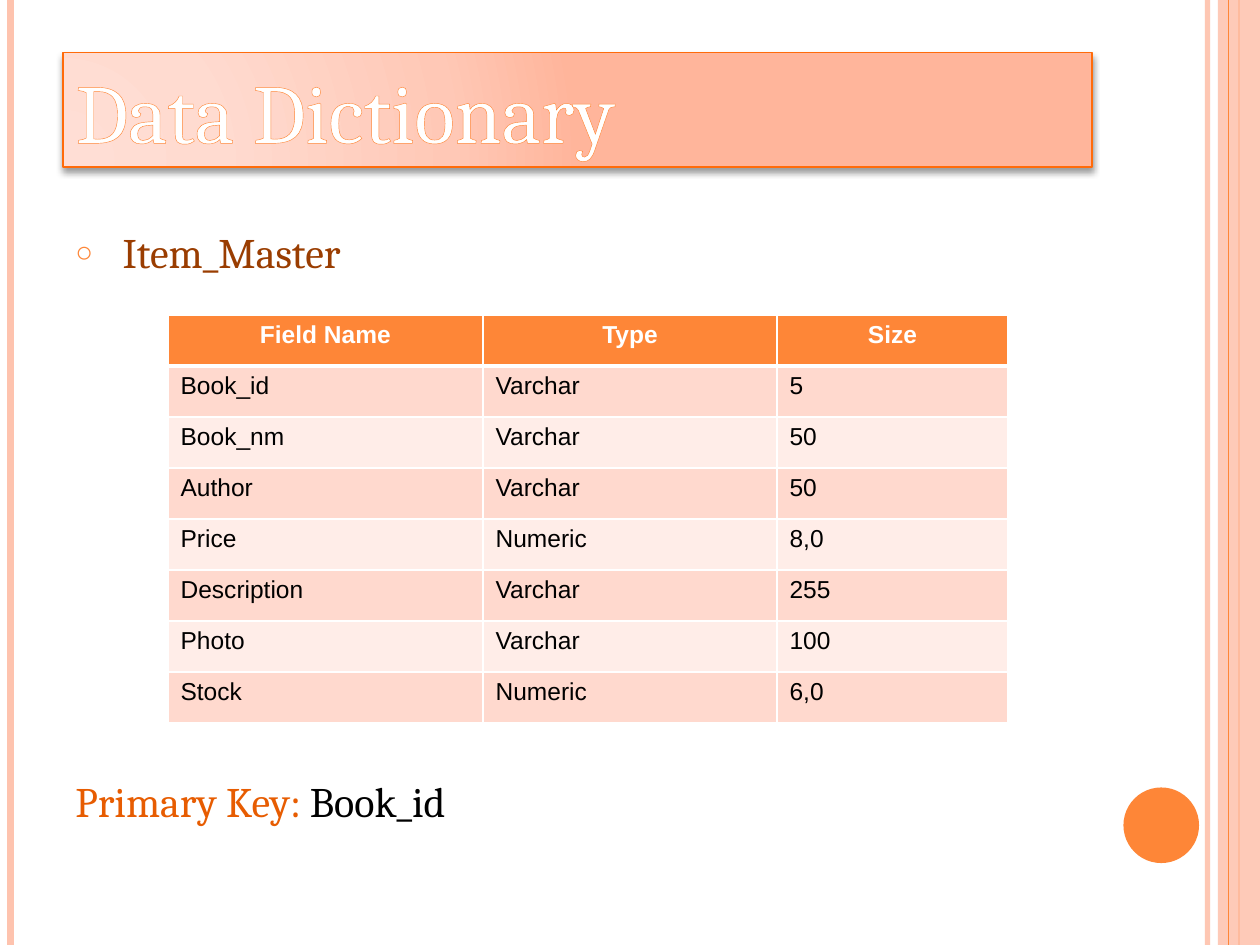
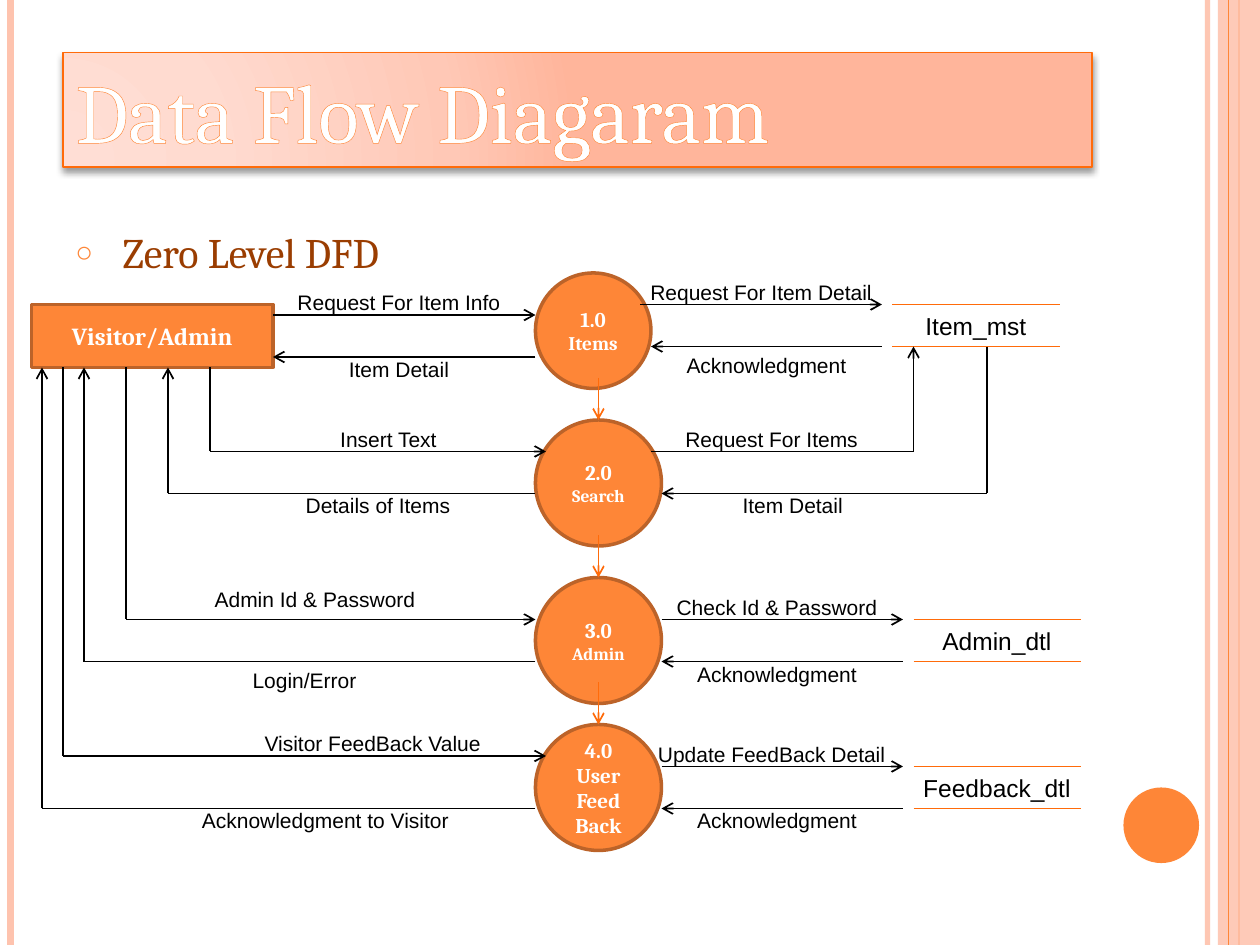
import itertools

import pptx
import pptx.dml.color
import pptx.enum.shapes
import pptx.enum.text
import pptx.oxml
import pptx.oxml.ns
import pptx.util

Cm, Pt = pptx.util.Cm, pptx.util.Pt
RGBColor = pptx.dml.color.RGBColor
PRESET = pptx.enum.shapes.MSO_SHAPE
STRAIGHT = pptx.enum.shapes.MSO_CONNECTOR.STRAIGHT
ALIGN = pptx.enum.text.PP_ALIGN
ANCHOR = pptx.enum.text.MSO_ANCHOR
FIT = pptx.enum.text.MSO_AUTO_SIZE.SHAPE_TO_FIT_TEXT

# Colours
WHITE = RGBColor(0xFF, 0xFF, 0xFF)
BLACK = RGBColor(0, 0, 0)
ORANGE = RGBColor(0xFE, 0x86, 0x37)
VIVID = RGBColor(0xFF, 0x6B, 0x0A)
RIM = RGBColor(0xBC, 0x63, 0x29)
PEACH = RGBColor(0xFE, 0xC3, 0xAE)
BROWN = RGBColor(0x9A, 0x3D, 0x01)
RUST = RGBColor(0xE7, 0x5C, 0x01)
ROW_TINTS = RGBColor(0xFF, 0xD9, 0xCE), RGBColor(0xFF, 0xED, 0xE8)
TITLE_STOPS = (0, "FFDED5"), (30, "FFDBD0"), (75, "FFC8B6"), (100, "FFB59B")

# Fonts
TITLE_FONT = {"name": "Cambria", "size": Pt(48), "bold": False}
BODY_FONT = {"name": "Cambria", "size": Pt(24)}
LABEL_FONT = {"name": "Arial", "size": Pt(12)}
STORE_FONT = {"name": "Arial", "size": Pt(14)}
HEADER_FONT = {"name": "Arial", "size": Pt(14), "bold": True}
CELL_FONT = {"name": "Arial", "size": Pt(14), "bold": False}

# All places below count grid steps: the slide is 120 steps wide and 90 high
STEP = 25.4 / 120

# Content: data dictionary
FIELDS = [
    ("Field Name", "Type", "Size"),
    ("Book_id", "Varchar", "5"),
    ("Book_nm", "Varchar", "50"),
    ("Author", "Varchar", "50"),
    ("Price", "Numeric", "8,0"),
    ("Description", "Varchar", "255"),
    ("Photo", "Varchar", "100"),
    ("Stock", "Numeric", "6,0"),
]
COLUMN_WIDTHS = 30, 28, 22
ROW_HEIGHT = 4.86

# Content: data flow; processes are (top, diameter, lines with sizes)
PROCESSES = [
    (26, 11, [("1.0", 12), ("Items", 11)]),
    (40, 12, [("2.0", 12), ("Search", 10)]),
    (55, 12, [("3.0", 12), ("Admin", 10)]),
    (69, 12, [("4.0", 12), ("User", 12), ("Feed", 12), ("Back", 12)]),
]
PROCESS_LEFT, PROCESS_AXIS = 51, 57
STORES = [("Item_mst", 85, 29), ("Admin_dtl", 87, 59), ("Feedback_dtl", 87, 73)]
# Each flow: label, label box (left, top, width), points of its route
FLOWS = [
    ("Request For Item Info", (27, 27, 22), [(26, 30), (51, 30)]),
    ("Item Detail", (27, 33.36, 22), [(51, 34), (26, 34)]),
    ("Request For Item Detail", (60, 26, 25), [(61, 29), (84, 29)]),
    ("Acknowledgment", (64, 33, 18), [(84, 33), (62, 33)]),
    ("Insert Text", (26, 40, 22), [(20, 35), (20, 43), (52, 43)]),
    ("Details of Items", (25, 46.32, 22), [(51, 47), (16, 47), (16, 35)]),
    ("Request For Items", (61, 40, 25), [(62, 43), (87, 43), (87, 33)]),
    ("Item Detail", (63, 46.32, 25), [(94, 33), (94, 47), (63, 47)]),
    ("Admin Id & Password", (19, 55.32, 22), [(12, 35), (12, 59), (51, 59)]),
    ("Login/Error", (22, 63, 14), [(51, 63), (8, 63), (8, 35)]),
    ("Check Id & Password", (63, 56, 22), [(63, 59), (86, 59)]),
    ("Acknowledgment", (63, 62.4, 22), [(86, 63), (63, 63)]),
    ("Visitor FeedBack Value", (23, 69, 25), [(6, 35), (6, 72), (52, 72)]),
    ("Acknowledgment to Visitor", (15, 76.32, 32), [(51, 77), (4, 77), (4, 35)]),
    ("Update FeedBack Detail", (61, 70, 25), [(63, 73), (86, 73)]),
    ("Acknowledgment", (63, 76.32, 22), [(86, 77), (63, 77)]),
]


# Helpers
def grid(*steps):
    return [Cm(step * STEP) for step in steps]


def apply(target, values):
    for attribute, value in values.items():
        setattr(target, attribute, value)


def xml(markup):
    head, tail = markup.split(">", 1)
    slash = "/" if head.endswith("/") else ""
    return pptx.oxml.parse_xml(
        head.rstrip("/") + " " + pptx.oxml.ns.nsdecls("a") + slash + ">" + tail)


def add_alpha(part, percent):
    colour = part._element.spPr.xpath(".//a:srgbClr")[0]
    colour.append(xml(f'<a:alpha val="{percent * 1000}"/>'))


def add_run(paragraph, text, font, colour):
    run = paragraph.add_run()
    run.text = text
    apply(run.font, font)
    run.font.color.rgb = colour
    return run


def add_line(slide, start, end, colour, width=1, arrow=False):
    line = slide.shapes.add_connector(STRAIGHT, *grid(*start, *end))
    line.line.color.rgb = colour
    line.line.width = Pt(width)
    if arrow:
        line.line._get_or_add_ln().append(xml('<a:tailEnd type="arrow"/>'))
    line._element.spPr.append(xml("<a:effectLst/>"))
    return line


def add_solid(slide, preset, box, rim=None):
    solid = slide.shapes.add_shape(preset, *grid(*box))
    solid.shadow.inherit = False
    solid.fill.solid()
    solid.fill.fore_color.rgb = ORANGE
    if rim is None:
        solid.line.fill.background()
    else:
        solid.line.color.rgb = rim
        solid.line.width = Pt(2)
    return solid


def write_centred(frame, lines, colour):
    apply(frame, {"word_wrap": True, "vertical_anchor": ANCHOR.MIDDLE})
    for number, (text, font) in enumerate(lines):
        paragraph = frame.add_paragraph() if number else frame.paragraphs[0]
        paragraph.alignment = ALIGN.CENTER
        add_run(paragraph, text, font, colour)


def add_label(slide, text, left, top, width, height, font):
    label = slide.shapes.add_textbox(*grid(left, top, width, height))
    write_centred(label.text_frame, [(text, font)], BLACK)
    apply(label.text_frame, {"vertical_anchor": ANCHOR.TOP, "auto_size": FIT})


# Shared side bands and disc, moved to the slide master
def add_bands(slide):
    inner = add_line(slide, (115, 0), (115, 90), PEACH, 3)
    add_alpha(inner, 93)
    left = add_line(slide, (1, 0), (1, 90), PEACH, 4.5)
    outer = add_line(slide, (118, 0), (118, 90), ORANGE, 1.5)
    band = add_solid(slide, PRESET.RECTANGLE, (116, 0, 4, 90))
    band.fill.fore_color.rgb = PEACH
    add_alpha(band, 87)
    hairline = add_line(slide, (117, 0), (117, 90), ORANGE, 0.75)
    disc = add_solid(slide, PRESET.OVAL, (107, 75, 7.2, 7.2))
    tree = slide.slide_layout.slide_master.shapes._spTree
    for place, part in enumerate((inner, left, outer, band, hairline, disc)):
        part._element.xpath(".//p:cNvPr")[0].set("id", str(100 + place))
        tree.insert(2 + place, part._element)


# Shared title style
def format_title(slide, text):
    title = slide.shapes.title
    apply(title, dict(zip(("left", "top", "width", "height"), grid(6, 5, 98, 10.92))))
    stops = "".join(f'<a:gs pos="{place * 1000}"><a:srgbClr val="{colour}"/></a:gs>'
                    for place, colour in TITLE_STOPS)
    properties = title._element.spPr
    properties.append(xml('<a:prstGeom prst="rect"><a:avLst/></a:prstGeom>'))
    properties.append(xml(
        f'<a:gradFill rotWithShape="1"><a:gsLst>{stops}</a:gsLst><a:path path="circle">'
        '<a:fillToRect l="5000" t="100000" r="120000" b="10000"/></a:path></a:gradFill>'))
    title.line.color.rgb = VIVID
    title.line.width = Pt(1)
    properties.append(xml(
        f'<a:effectLst><a:outerShdw blurRad="{Pt(4)}" dist="{Pt(2)}" dir="5400000" '
        'rotWithShape="0"><a:srgbClr val="000000"><a:alpha val="40000"/></a:srgbClr>'
        '</a:outerShdw></a:effectLst>'))
    frame = title.text_frame
    apply(frame, {"word_wrap": True, "auto_size": FIT, "vertical_anchor": ANCHOR.MIDDLE})
    frame.paragraphs[0].alignment = ALIGN.LEFT
    run = add_run(frame.paragraphs[0], text, TITLE_FONT, WHITE)
    run._r.get_or_add_rPr().insert(0, xml(
        f'<a:ln w="{Pt(0.8)}"><a:solidFill><a:srgbClr val="{ORANGE}"/></a:solidFill></a:ln>'))


# Shared bulleted heading under the title
def add_heading(slide, text):
    body = slide.shapes.add_textbox(*grid(6, 21, 98, 64)).text_frame
    body.word_wrap = True
    heading = body.paragraphs[0]
    heading.space_before = Pt(6)
    properties = heading._p.get_or_add_pPr()
    properties.set("marL", str(Cm(0.95)))
    properties.set("indent", str(-Cm(0.95)))
    for bullet in (f'<a:buClr><a:srgbClr val="{ORANGE}"/></a:buClr>',
                   '<a:buSzPct val="70000"/>', '<a:buFont typeface="Arial"/>',
                   '<a:buChar char="○"/>'):
        properties.append(xml(bullet))
    add_run(heading, text, BODY_FONT, BROWN)
    return body


def border_cell(cell, top, bottom):
    for side, width in (("L", 1), ("R", 1), ("T", top), ("B", bottom)):
        cell._tc.get_or_add_tcPr().append(xml(
            f'<a:ln{side} w="{Pt(width)}"><a:solidFill><a:srgbClr val="{WHITE}"/>'
            f'</a:solidFill></a:ln{side}>'))


def add_field_table(slide):
    size = sum(COLUMN_WIDTHS), ROW_HEIGHT * len(FIELDS)
    table = slide.shapes.add_table(
        len(FIELDS), len(COLUMN_WIDTHS), *grid(16, 30, *size)).table
    for column, width in zip(table.columns, grid(*COLUMN_WIDTHS)):
        column.width = width
    for index, (row, values) in enumerate(zip(table.rows, FIELDS)):
        row.height = grid(ROW_HEIGHT)[0]
        header = index == 0
        for cell, value in zip(row.cells, values):
            border_cell(cell, 3 if index == 1 else 1, 3 if header else 1)
            cell.fill.solid()
            cell.fill.fore_color.rgb = ORANGE if header else ROW_TINTS[(index - 1) % 2]
            paragraph = cell.text_frame.paragraphs[0]
            paragraph.alignment = ALIGN.CENTER if header else ALIGN.LEFT
            add_run(paragraph, value, HEADER_FONT if header else CELL_FONT,
                    WHITE if header else BLACK)


deck = pptx.Presentation()
deck.slide_width, deck.slide_height = grid(120, 90)
title_only = deck.slide_layouts[5]

# Slide 1: data dictionary
dictionary = deck.slides.add_slide(title_only)
add_bands(dictionary)
format_title(dictionary, "Data Dictionary")
primary_key = add_heading(dictionary, "Item_Master").add_paragraph()
primary_key.space_before = Pt(285)
add_run(primary_key, "Primary Key: ", BODY_FONT, RUST)
add_run(primary_key, "Book_id", BODY_FONT, BLACK)
add_field_table(dictionary)

# Slide 2: data flow diagram
diagram = deck.slides.add_slide(title_only)
format_title(diagram, "Data Flow Diagaram")
add_heading(diagram, "Zero Level DFD")

visitor = add_solid(diagram, PRESET.RECTANGLE, (3, 29, 23, 6), RIM)
node_font = {"name": "Cambria", "bold": True}
write_centred(visitor.text_frame, [("Visitor/Admin", {**node_font, "size": Pt(14)})], WHITE)

for top, diameter, lines in PROCESSES:
    process = add_solid(diagram, PRESET.OVAL, (PROCESS_LEFT, top, diameter, diameter), RIM)
    write_centred(process.text_frame,
                  [(text, {**node_font, "size": Pt(size)}) for text, size in lines], WHITE)
for top, *_ in PROCESSES[1:]:
    add_line(diagram, (PROCESS_AXIS, top - 4), (PROCESS_AXIS, top), VIVID, arrow=True)

for store, left, top in STORES:
    for edge in (top, top + 4):
        add_line(diagram, (left, edge), (left + 16, edge), VIVID)
    add_label(diagram, store, left - 1, top, 17.9, 4, STORE_FONT)

for text, box, route in FLOWS:
    for start, end in itertools.pairwise(route):
        add_line(diagram, start, end, BLACK, arrow=end == route[-1])
    add_label(diagram, text, *box, 3.6, LABEL_FONT)

deck.save("out.pptx")
